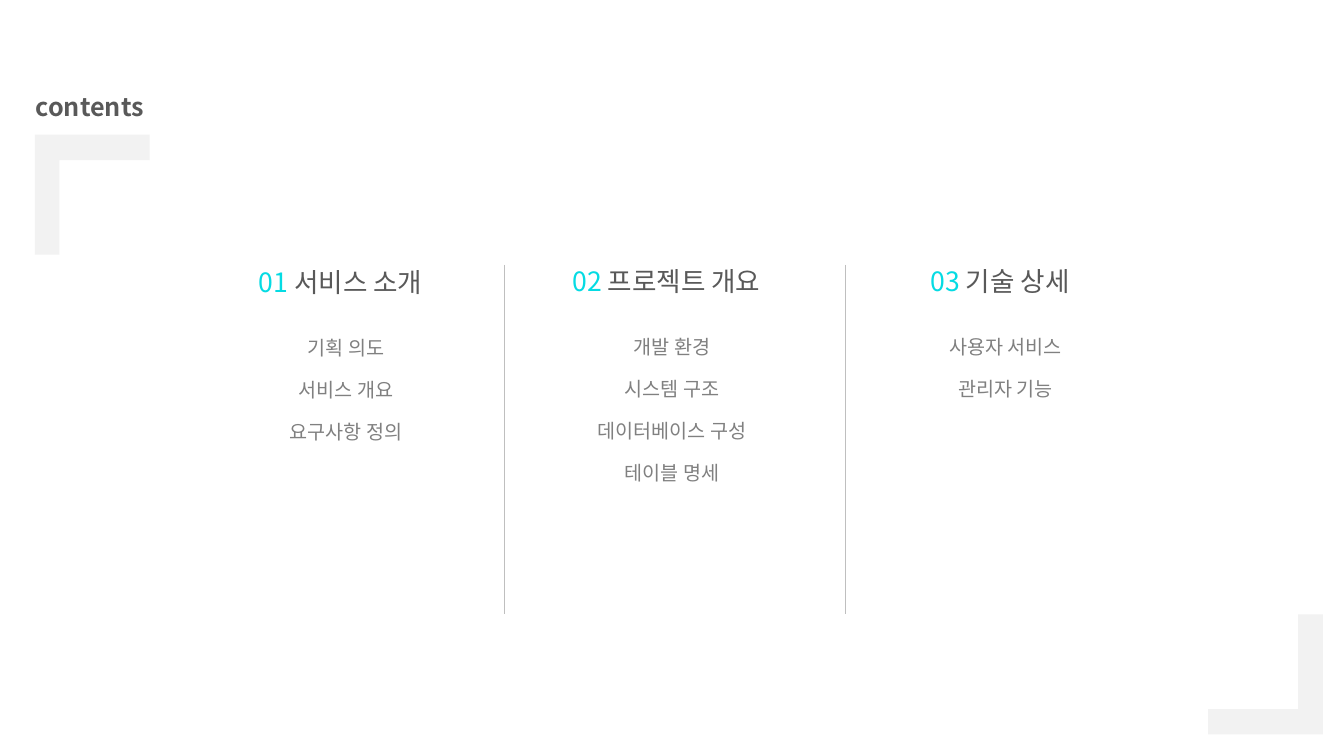
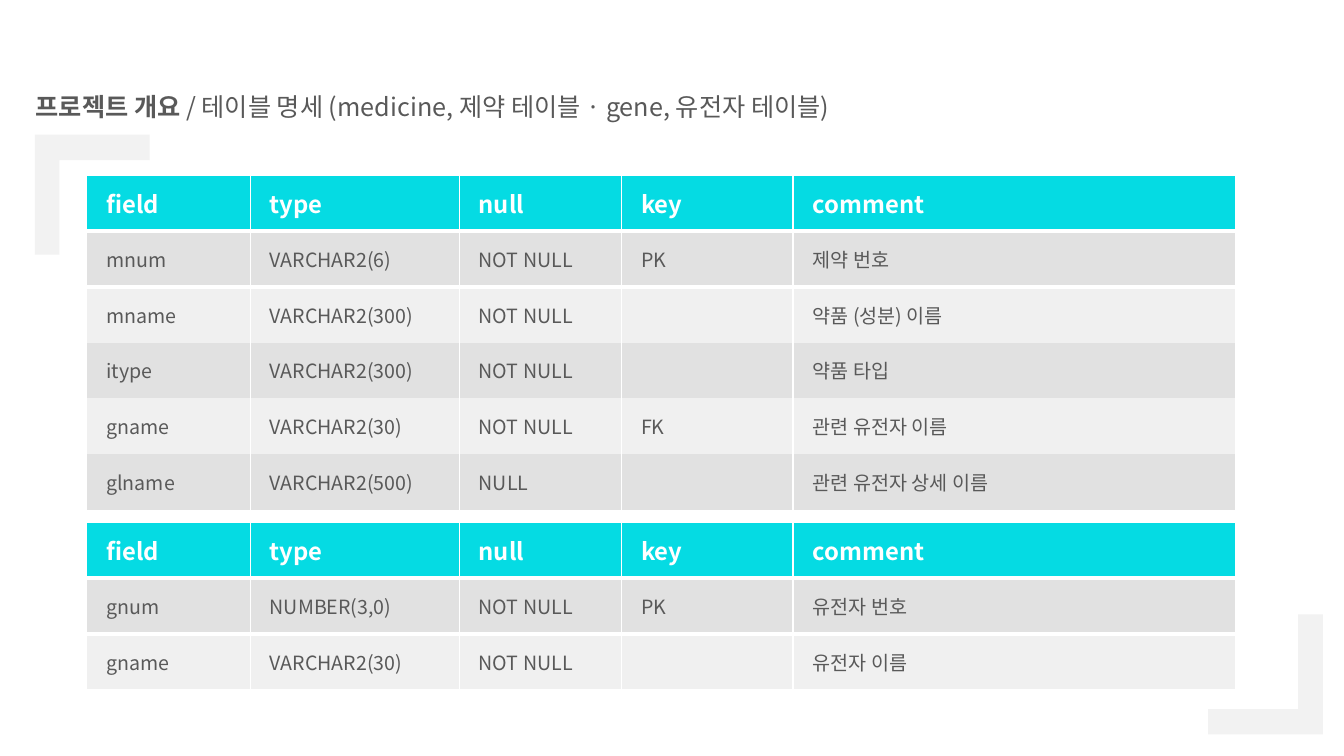
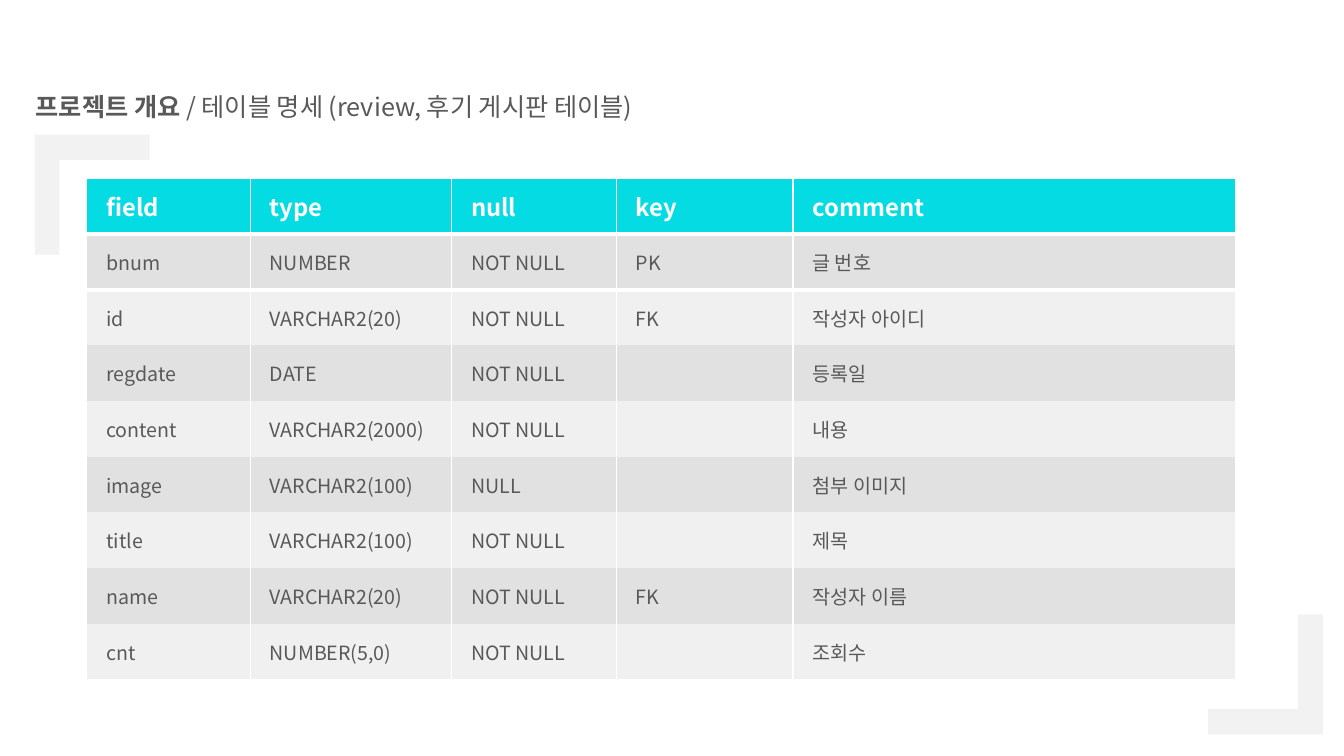
"""Build a contents slide and two slides of database table specifications."""
from lxml import etree
from pptx import Presentation
from pptx.dml.color import RGBColor
from pptx.enum.shapes import MSO_CONNECTOR, MSO_SHAPE
from pptx.enum.text import MSO_ANCHOR, MSO_AUTO_SIZE, PP_ALIGN
from pptx.oxml.ns import qn
from pptx.util import Pt

STRAIGHT = MSO_CONNECTOR.STRAIGHT
CORNER_SHAPE = MSO_SHAPE.CORNER
TOP, MIDDLE = MSO_ANCHOR.TOP, MSO_ANCHOR.MIDDLE
FIT_SHAPE = MSO_AUTO_SIZE.SHAPE_TO_FIT_TEXT
LEFT, CENTER = PP_ALIGN.LEFT, PP_ALIGN.CENTER

FONT = "Noto Sans CJK KR"
CYAN = RGBColor(0x05, 0xDB, 0xE3)
DARK = RGBColor(0x59, 0x59, 0x59)
GRAY = RGBColor(0x80, 0x80, 0x80)
RULE = RGBColor(0xBF, 0xBF, 0xBF)
PALE = RGBColor(0xF2, 0xF2, 0xF2)
WHITE = RGBColor(0xFF, 0xFF, 0xFF)
BANDS = (RGBColor(0xE1, 0xE1, 0xE1), RGBColor(0xF0, 0xF0, 0xF0))
NO_GRID_STYLE = "{2D5ABB26-0587-4C30-8999-92F81FD0307C}"

CORNERS = [(23, 98, 90), (861, 440.75, 270)]
TABLE_LEFT = 62
ROW_HEIGHT = 39.75
HEADER = ("field", "type", "null", "key", "comment")

SECTIONS = [
    (130.25, 190, "01 ", "서비스 소개", ["기획 의도", "서비스 개요", "요구사항 정의"]),
    (363, 189.25, "02 ", "프로젝트 개요",
     ["개발 환경", "시스템 구조", "데이터베이스 구성", "테이블 명세"]),
    (601.25, 189.25, "03 ", "기술 상세", ["사용자 서비스", "관리자 기능"]),
]
DIVIDERS = [360, 604]

MEDICINE = [
    ("mnum", "VARCHAR2(6)", "NOT NULL", "PK", "제약 번호"),
    ("mname", "VARCHAR2(300)", "NOT NULL", "", "약품 (성분) 이름"),
    ("itype", "VARCHAR2(300)", "NOT NULL", "", "약품 타입"),
    ("gname", "VARCHAR2(30)", "NOT NULL", "FK", "관련 유전자 이름"),
    ("glname", "VARCHAR2(500)", "NULL", "", "관련 유전자 상세 이름"),
]
GENE = [
    ("gnum", "NUMBER(3,0)", "NOT NULL", "PK", "유전자 번호"),
    ("gname", "VARCHAR2(30)", "NOT NULL", "", "유전자 이름"),
]
REVIEW = [
    ("bnum", "NUMBER", "NOT NULL", "PK", "글 번호"),
    ("id", "VARCHAR2(20)", "NOT NULL", "FK", "작성자 아이디"),
    ("regdate", "DATE", "NOT NULL", "", "등록일"),
    ("content", "VARCHAR2(2000)", "NOT NULL", "", "내용"),
    ("image", "VARCHAR2(100)", "NULL", "", "첨부 이미지"),
    ("title", "VARCHAR2(100)", "NOT NULL", "", "제목"),
    ("name", "VARCHAR2(20)", "NOT NULL", "FK", "작성자 이름"),
    ("cnt", "NUMBER(5,0)", "NOT NULL", "", "조회수"),
]
PAIR_WIDTHS = (116.75, 149.25, 116, 122.5, 316)
REVIEW_WIDTHS = (116.75, 143.75, 117.75, 126.25, 316)
TABLE_SLIDES = [
    ("/ 테이블 명세 (medicine, 제약 테이블 · gene, 유전자 테이블)", PAIR_WIDTHS,
     [(125.5, MEDICINE), (373.25, GENE)]),
    ("/ 테이블 명세 (review, 후기 게시판 테이블)", REVIEW_WIDTHS, [(127.5, REVIEW)]),
]


def style_font(font, size, color, bold=False):
    font.size = Pt(size)
    font.bold = bold
    font.color.rgb = color
    font.name = FONT
    etree.SubElement(font._rPr, qn("a:ea"), typeface=FONT)


def add_runs(paragraph, size, runs):
    for text, color, bold in runs:
        run = paragraph.add_run()
        run.text = text
        style_font(run.font, size, color, bold)


def set_frame(frame, anchor):
    frame.margin_left = frame.margin_right = frame.margin_top = frame.margin_bottom = 0
    frame.word_wrap = True
    frame.auto_size = FIT_SHAPE
    frame.vertical_anchor = anchor


def add_text_box(slide, left, top, width, height, anchor):
    box = slide.shapes.add_textbox(Pt(left), Pt(top), Pt(width), Pt(height))
    set_frame(box.text_frame, anchor)
    return box.text_frame


def add_base_slide(presentation, title_runs):
    slide = presentation.slides.add_slide(presentation.slide_layouts[5])
    title = slide.shapes.title
    title.left, title.top, title.width, title.height = Pt(25.5), Pt(67.75), Pt(847.5), Pt(19.5)
    set_frame(title.text_frame, MIDDLE)
    paragraph = title.text_frame.paragraphs[0]
    paragraph.alignment = LEFT
    paragraph.line_spacing = 0.9
    add_runs(paragraph, 18, title_runs)
    for left, top, rotation in CORNERS:
        corner = slide.shapes.add_shape(CORNER_SHAPE, Pt(left), Pt(top), Pt(85.75), Pt(82))
        corner.rotation = rotation
        corner.adjustments[0], corner.adjustments[1] = 0.215, 0.222
        corner.shadow.inherit = False
        corner.fill.solid()
        corner.fill.fore_color.rgb = PALE
        corner.line.fill.background()
    return slide


def add_section(slide, left, top, number, heading, topics):
    frame = add_text_box(slide, left, top, 226, 23, MIDDLE)
    frame.paragraphs[0].alignment = CENTER
    add_runs(frame.paragraphs[0], 19, [(number, CYAN, False), (heading, DARK, False)])
    frame = add_text_box(slide, left + 8, top + 50, 218, 33.5 * len(topics) - 13, TOP)
    for index, topic in enumerate(topics):
        paragraph = frame.add_paragraph() if index else frame.paragraphs[0]
        paragraph.text = topic
        paragraph.alignment = CENTER
        if index:
            paragraph.space_before = Pt(13.3)
        style_font(paragraph.font, 14, GRAY)


def add_divider(slide, x):
    divider = slide.shapes.add_connector(STRAIGHT, Pt(x), Pt(189.25), Pt(x), Pt(438.5))
    divider.line.color.rgb = RULE
    divider.line.width = Pt(0.5)
    etree.SubElement(divider._element.spPr, qn("a:effectLst"))


def add_border(cell, side, width):
    properties = cell._tc.get_or_add_tcPr()
    line = etree.SubElement(properties, qn("a:" + side), w=str(Pt(width)))
    fill = etree.SubElement(line, qn("a:solidFill"))
    etree.SubElement(fill, qn("a:srgbClr"), val=str(WHITE))


def fill_cell(cell, text, row_index):
    is_header = row_index == 0
    borders = {"lnL": 1, "lnR": 1}
    if is_header:
        borders.update(lnT=1, lnB=3)
    elif row_index == 1:
        borders.update(lnT=3)
    for side, width in borders.items():
        add_border(cell, side, width)
    cell.fill.solid()
    cell.fill.fore_color.rgb = CYAN if is_header else BANDS[(row_index - 1) % 2]
    cell.vertical_anchor = MIDDLE
    cell.margin_left, cell.margin_right = Pt(14), Pt(7)
    cell.margin_top = cell.margin_bottom = Pt(3.6)
    cell.text = text
    font = cell.text_frame.paragraphs[0].font
    if is_header:
        style_font(font, 17, WHITE, True)
    else:
        style_font(font, 14, DARK)


def add_specification(slide, top, widths, records):
    rows = [HEADER, *records]
    frame = slide.shapes.add_table(len(rows), len(widths), Pt(TABLE_LEFT), Pt(top),
                                   Pt(sum(widths)), Pt(ROW_HEIGHT * len(rows)))
    table = frame.table
    table._tbl.tblPr.find(qn("a:tableStyleId")).text = NO_GRID_STYLE
    table.horz_banding = False
    for column, width in zip(table.columns, widths):
        column.width = Pt(width)
    for row_index, texts in enumerate(rows):
        table.rows[row_index].height = Pt(ROW_HEIGHT)
        for column_index, text in enumerate(texts):
            fill_cell(table.cell(row_index, column_index), text, row_index)


def main():
    presentation = Presentation()
    presentation.slide_width, presentation.slide_height = Pt(960), Pt(540)
    contents = add_base_slide(presentation, [("contents", DARK, True)])
    for section in SECTIONS:
        add_section(contents, *section)
    for x in DIVIDERS:
        add_divider(contents, x)
    for subtitle, widths, tables in TABLE_SLIDES:
        slide = add_base_slide(presentation, [("프로젝트 개요 ", DARK, True), (subtitle, DARK, False)])
        for top, records in tables:
            add_specification(slide, top, widths, records)
    presentation.save("out.pptx")


if __name__ == "__main__":
    main()
